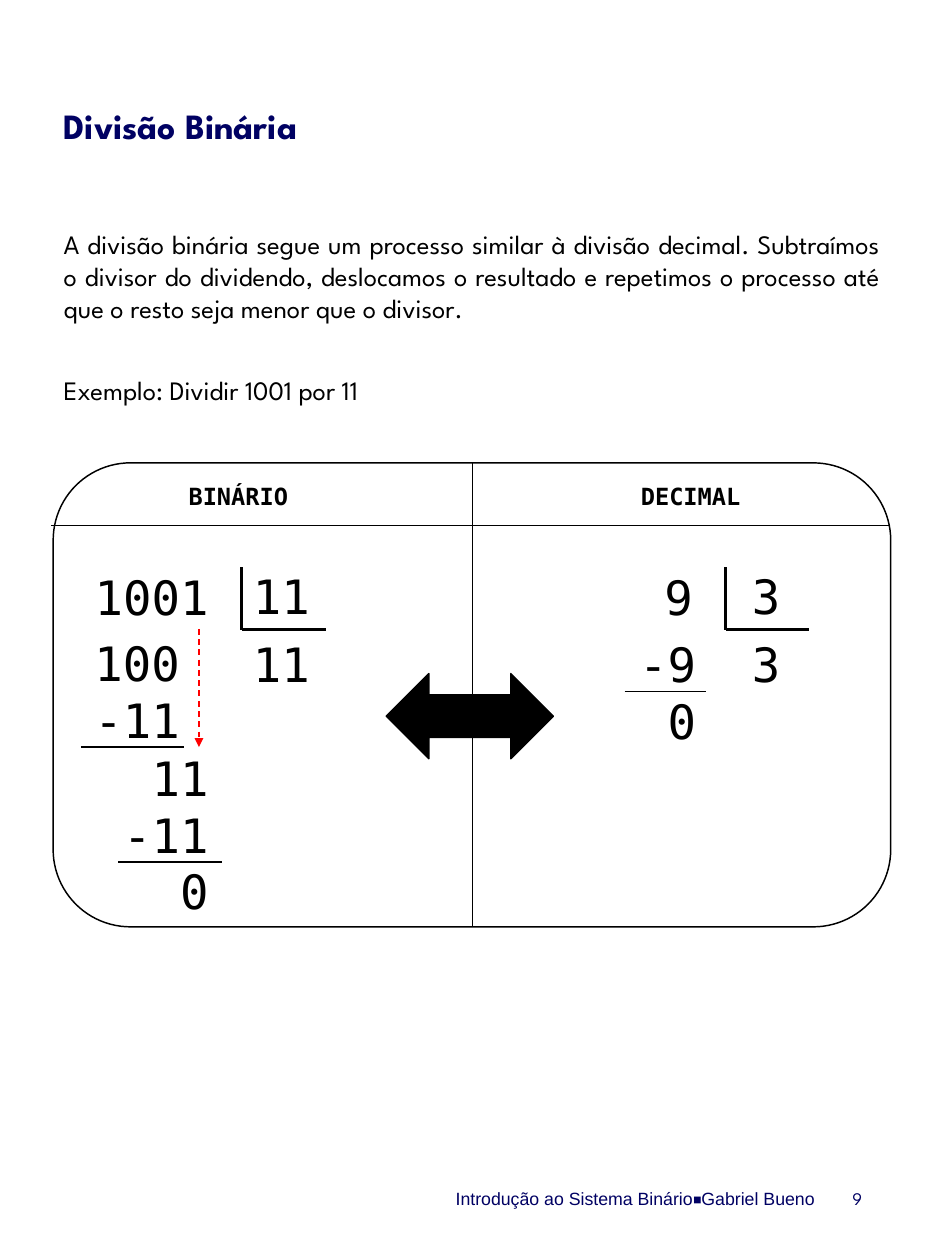
"""Build the page on binary division."""
from lxml.etree import SubElement as Sub
from pptx import Presentation
from pptx.dml.color import RGBColor as Rgb
from pptx.enum.dml import MSO_LINE as Dash
from pptx.enum.shapes import MSO_CONNECTOR as Conn, MSO_SHAPE as Geo
from pptx.enum.text import MSO_ANCHOR as Anchor, PP_ALIGN as Align
from pptx.oxml.ns import qn
from pptx.util import Emu, Pt

PX = 9144
INK = {"navy": "000163", "black": "000000", "white": "FFFFFF", "red": "FF0000"}
SANS, MONO, FOOT = "League Spartan", "DejaVu Sans Mono", "Arial"


def px(*nums):
    return [Emu(n * PX) for n in nums]


def tint(name):
    return Rgb.from_string(INK[name])


def put(obj, vals):
    for key, val in vals.items():
        setattr(obj, key, val)


class Page:
    def __init__(self, wide, high):
        self.deck = Presentation()
        put(self.deck, dict(zip(("slide_width", "slide_height"), px(wide, high))))
        self.slide = self.deck.slides.add_slide(self.deck.slide_layouts[6])
        self.items = self.slide.shapes

    def text(self, box, paras, size, face, align, ink="black", bold=False,
             anchor=Anchor.TOP, left=10):
        frame = self.items.add_textbox(*px(*box)).text_frame
        put(frame, {"word_wrap": True, "vertical_anchor": anchor,
                    "margin_left": px(left)[0]})
        for num, words in enumerate(paras):
            para = frame.add_paragraph() if num else frame.paragraphs[0]
            para.alignment = align
            run = para.add_run()
            run.text = words
            self.font(run, size, face, ink, bold)
        return frame.paragraphs

    def font(self, run, size, face, ink, bold):
        put(run.font, {"size": Pt(size), "name": face, "bold": bold})
        run.font.color.rgb = tint(ink)

    def digits(self, box, *rows):
        self.text(box, rows, 32, MONO, Align.RIGHT, left=0)

    def shape(self, geo, box, fill):
        item = self.items.add_shape(geo, *px(*box))
        item.shadow.inherit = False
        item.fill.solid()
        item.fill.fore_color.rgb = tint(fill)
        item.line.color.rgb = tint("black")
        item.line.width = Pt(1)
        return item

    def line(self, ends, width, ink="black"):
        item = self.items.add_connector(Conn.STRAIGHT, *px(*ends))
        item.line.color.rgb = tint(ink)
        item.line.width = Pt(width)
        Sub(item._element.spPr, qn("a:effectLst"))
        return item

    def arrow(self, ends, ink):
        item = self.line(ends, 1, ink)
        item.line.dash_style = Dash.DASH
        Sub(item.line._ln, qn("a:tailEnd"), type="triangle")

    def key(self, left, wide, span, num, quot):
        for top, val in ((528, num), (592, quot)):
            self.digits((left, top, wide, 64), val)
        self.line((left, 592, left + span, 592), 2)
        self.line((left, 592, left, 533), 2)


def main():
    page = Page(888, 1184)
    page.text((53, 1111, 723, 30), ["Introdução ao Sistema Binário◾Gabriel Bueno"],
              12, FOOT, Align.RIGHT, "navy", anchor=Anchor.MIDDLE)
    page.text((776, 1111, 59, 30), ["9"], 12, SANS, Align.CENTER, "navy",
              anchor=Anchor.MIDDLE)

    paras = page.text((50, 93, 787, 296), [
        "Divisão Binária",
        "A divisão binária segue um processo similar à divisão decimal. "
        "Subtraímos o divisor do dividendo, deslocamos o resultado e repetimos "
        "o processo até que o resto seja menor que o divisor.",
        "Exemplo: Dividir 1001 por 11"], 18, SANS, Align.JUSTIFY)
    page.font(paras[0].runs[0], 24, SANS, "navy", True)
    for para, gap in zip(paras, (55, 34)):
        para.space_after = Pt(gap)

    panel = page.shape(Geo.ROUNDED_RECTANGLE, (50, 435, 787, 436), "white")
    page.shape(Geo.LEFT_RIGHT_ARROW, (363, 633, 157, 80), "black")
    for left, head in ((106, "BINÁRIO"), (531, "DECIMAL")):
        page.text((left, 448, 236, 37), [head], 16, MONO, Align.CENTER, bold=True)
    page.line((48, 494, 835, 494), 0.5)
    split = page.line((444, 435, 444, 871), 0.5)
    split.begin_connect(panel, 0)
    split.end_connect(panel, 2)

    page.key(227, 74, 79, "11", "11")
    page.key(682, 61, 78, "3", "3")
    page.digits((73, 529, 133, 64), "1001")
    page.digits((73, 591, 106, 118), "100", "-11")
    page.digits((73, 699, 133, 171), "11", "-11", "0")
    page.digits((600, 529, 61, 64), "9")
    page.digits((587, 592, 77, 118), "-9", "0")
    for left, top, right in ((76, 702, 173), (111, 810, 209), (587, 650, 663)):
        page.line((left, top, right, top), 1)
    page.arrow((187, 591, 187, 702), "red")
    page.deck.save("out.pptx")


if __name__ == "__main__":
    main()
